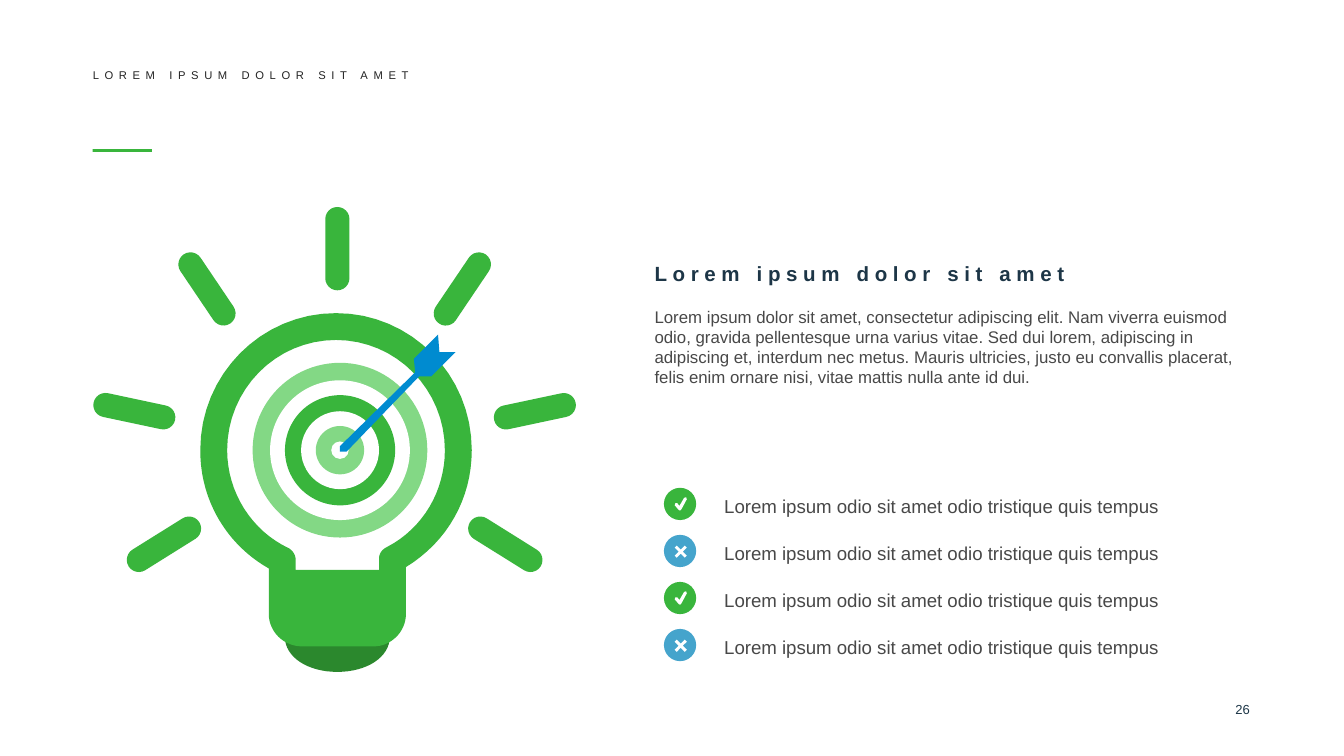
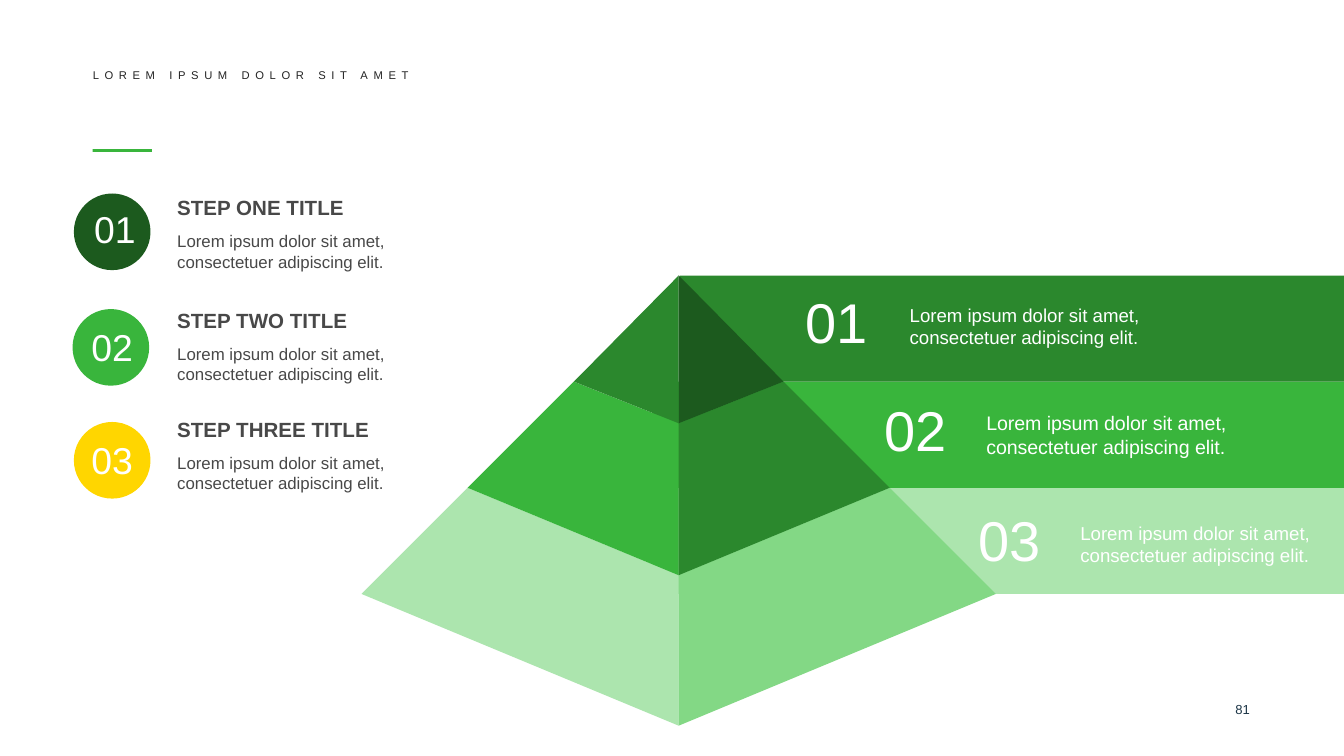
from dataclasses import dataclass

import pptx
import pptx.dml.color
import pptx.enum.shapes
import pptx.enum.text
import pptx.oxml
import pptx.util

Inches = pptx.util.Inches
Shape = pptx.enum.shapes.MSO_SHAPE
Align = pptx.enum.text.PP_ALIGN
Anchor = pptx.enum.text.MSO_ANCHOR


@dataclass(frozen=True)
class Style:
    size: float
    color: str
    bold: bool = False
    spacing: int = 0  # hundredths of a point


class Theme:
    font = "Arial"
    white = "FFFFFF"
    navy = "1D3647"
    gray = "484848"
    green = "39B53C"
    dark_green = "2B882D"
    deep_green = "1C5A1E"
    soft_green = "83D885"
    pale_green = "ACE5AE"
    blue = "008BD0"
    sky = "45A4CC"
    yellow = "FFD600"

    title = Style(6, "242424", spacing=300)
    page_number = Style(7, navy)
    heading = Style(11, navy, True, 300)
    body = Style(9, gray)
    list_item = Style(10, gray)
    step_title = Style(11, gray, True)
    step_number = Style(20, white)
    band_number = Style(30, white)
    band_text = Style(10, white)
    band_text_large = Style(10.5, white)


def place(shape, box):
    shape.left, shape.top, shape.width, shape.height = map(Inches, box)


def paint(shape, color):
    shape.shadow.inherit = False
    shape.fill.solid()
    shape.fill.fore_color.rgb = pptx.dml.color.RGBColor.from_string(color)
    shape.line.fill.background()


def draw_shape(slide, kind, box, color):
    shape = slide.shapes.add_shape(kind, *map(Inches, box))
    paint(shape, color)
    return shape


def draw_circle(slide, center_x, center_y, diameter, color):
    box = (center_x - diameter / 2, center_y - diameter / 2, diameter, diameter)
    return draw_shape(slide, Shape.OVAL, box, color)


def flatten(contour, steps=16):
    """Turn a contour of points and (control, control, end) curves into points."""
    points = [contour[0]]
    for part in contour[1:]:
        if len(part) == 2:
            points.append(part)
            continue
        curve = (points[-1], *part)
        for step in range(1, steps + 1):
            t = step / steps
            weights = ((1 - t) ** 3, 3 * t * (1 - t) ** 2, 3 * t * t * (1 - t), t ** 3)
            points.append(tuple(
                sum(weight * point[axis] for weight, point in zip(weights, curve))
                for axis in (0, 1)))
    return points


def draw_outline(slide, left, top, contours, color, unit=1.0):
    """Draw closed contours given in units (inches by default) from left, top."""
    builder = None
    for contour in contours:
        points = [(Inches(x * unit), Inches(y * unit)) for x, y in flatten(contour)]
        if builder is None:
            builder = slide.shapes.build_freeform(*points[0])
        else:
            builder.move_to(*points[0])
        builder.add_line_segments(points[1:], close=True)
    shape = builder.convert_to_shape(Inches(left), Inches(top))
    paint(shape, color)


def write(shape, text, style, align=Align.LEFT, anchor=Anchor.TOP,
          inset=True, wrap=True):
    frame = shape.text_frame
    frame.text = text
    frame.auto_size = pptx.enum.text.MSO_AUTO_SIZE.NONE
    frame.word_wrap = wrap
    frame.vertical_anchor = anchor
    frame.margin_left = frame.margin_right = Inches(0.1 if inset else 0)
    frame.margin_top = frame.margin_bottom = Inches(0.05 if inset else 0)
    paragraph = frame.paragraphs[0]
    paragraph.alignment = align
    paragraph.space_before = pptx.util.Pt(0)
    if shape.is_placeholder:
        remove_bullet(paragraph)
    for run in paragraph.runs:
        run.font.name = Theme.font
        run.font.size = pptx.util.Pt(style.size)
        run.font.bold = style.bold
        run.font.color.rgb = pptx.dml.color.RGBColor.from_string(style.color)
        if style.spacing:
            run.font._element.set("spc", str(style.spacing))


def draw_text(slide, box, text, style, **options):
    write(slide.shapes.add_textbox(*map(Inches, box)), text, style, **options)


def draw_number(slide, left, top, text, style):
    draw_text(slide, (left, top, 0.73, 0.56), text, style,
              align=Align.CENTER, anchor=Anchor.MIDDLE, inset=False)


def remove_bullet(paragraph):
    properties = paragraph._p.get_or_add_pPr()
    properties.set("marL", "0")
    properties.set("indent", "0")
    properties.append(pptx.oxml.parse_xml(
        '<a:buNone xmlns:a="http://schemas.openxmlformats.org/drawingml/2006/main"/>'))


def add_slide(presentation, layout_index, page_number):
    """Add a slide with the shared title, accent line and page number."""
    slide = presentation.slides.add_slide(presentation.slide_layouts[layout_index])
    draw_shape(slide, Shape.RECTANGLE, (0.69, 1.11, 0.44, 0.02), Theme.green)
    draw_text(slide, (8.87, 5.22, 0.43, 0.16), page_number, Theme.page_number,
              align=Align.RIGHT, inset=False)
    title = slide.shapes.title
    place(title, (0.69, 0.51, 7.17, 0.1))
    write(title, "LOREM IPSUM DOLOR SIT AMET", Theme.title,
          anchor=Anchor.MIDDLE, inset=False)
    return slide


BULB_OUTSIDE = [
    (1.01, 0), ((0.45, 0), (0, 0.46), (0, 1.02)),
    ((0, 1.21), (0.05, 1.4), (0.16, 1.57)),
    ((0.25, 1.71), (0.37, 1.82), (0.51, 1.9)),
    (0.51, 2.24), ((0.51, 2.37), (0.62, 2.48), (0.76, 2.48)),
    (1.29, 2.48), ((1.42, 2.48), (1.53, 2.37), (1.53, 2.24)),
    (1.53, 1.89), ((1.84, 1.7), (2.02, 1.38), (2.02, 1.02)),
    ((2.02, 0.46), (1.57, 0), (1.01, 0)),
]
BULB_INSIDE = [
    (1.39, 1.74), ((1.35, 1.76), (1.33, 1.79), (1.33, 1.83)),
    (1.33, 1.91), (0.71, 1.91), (0.71, 1.84),
    ((0.71, 1.8), (0.69, 1.77), (0.66, 1.75)),
    ((0.38, 1.62), (0.2, 1.33), (0.2, 1.02)),
    ((0.2, 0.57), (0.56, 0.2), (1.01, 0.2)),
    ((1.46, 0.2), (1.82, 0.57), (1.82, 1.02)),
    ((1.82, 1.32), (1.66, 1.6), (1.39, 1.74)),
]
BULB_CAP = [(0.78, 0), ((0.78, 0.15), (0.61, 0.26), (0.39, 0.26)),
            ((0.17, 0.26), (0, 0.15), (0, 0))]
ARROW = [(0.59, 0.31), (0.68, 0.31), (0.86, 0.13), (0.74, 0.13), (0.73, 0),
         (0.55, 0.18), (0.56, 0.28), (0, 0.83), (0, 0.87), (0.05, 0.87)]
ICON_UNIT = 0.005
CHECK = [(6, 19), (0, 12), (1, 9), (4, 9), (7, 13), (14, 1), (17, 0), (18, 3),
         (10, 18), (8, 20)]
CROSS = [(9, 6), (15, 0), (18, 3), (12, 9), (18, 15), (15, 18), (9, 12), (3, 18),
         (0, 15), (6, 9), (0, 3), (3, 0)]


def draw_rays(slide, left, top):
    axis = left + 1.8
    rays = [(0.02, 0.31, 90)]
    for offset, height, angle in ((0.95, 0.61, -56), (1.49, 1.52, -12), (1.27, 2.51, 32)):
        rays += [(offset, height, angle), (-offset, height, -angle)]
    for offset, height, angle in rays:
        box = (axis + offset - 0.31, top + height - 0.09, 0.62, 0.18)
        ray = draw_shape(slide, Shape.ROUNDED_RECTANGLE, box, Theme.green)
        ray.adjustments[0] = 0.5
        ray.rotation = angle


def draw_bulb(slide, left, top):
    draw_outline(slide, left + 1.43, top + 3.2, [BULB_CAP], Theme.dark_green)
    draw_rays(slide, left, top)
    draw_outline(slide, left + 0.8, top + 0.79, [BULB_OUTSIDE, BULB_INSIDE], Theme.green)
    rings = ((1.3, Theme.soft_green), (1.04, Theme.white), (0.82, Theme.green),
             (0.58, Theme.white), (0.36, Theme.soft_green), (0.13, Theme.white))
    for diameter, color in rings:
        draw_circle(slide, left + 1.84, top + 1.81, diameter, color)
    draw_outline(slide, left + 1.84, top + 0.95, [ARROW], Theme.blue)


def draw_checklist(slide, left, top, items):
    for index, (done, text) in enumerate(items):
        row = top + 0.35 * index
        draw_text(slide, (left + 0.35, row, 3.46, 0.27), text, Theme.list_item, wrap=False)
        draw_circle(slide, left + 0.12, row + 0.12, 0.24,
                    Theme.green if done else Theme.sky)
        draw_outline(slide, left + 0.08, row + (0.07 if done else 0.08),
                     [CHECK if done else CROSS], Theme.white, ICON_UNIT)


def build_idea_slide(presentation):
    slide = add_slide(presentation, 1, "26")
    draw_bulb(slide, 0.69, 1.54)
    draw_text(slide, (4.87, 1.94, 3.11, 0.19), "Lorem ipsum dolor sit amet",
              Theme.heading, inset=False, wrap=False)
    body = slide.placeholders[1]
    place(body, (4.87, 2.28, 4.44, 0.61))
    write(body, "Lorem ipsum dolor sit amet, consectetur adipiscing elit. Nam viverra "
          "euismod odio, gravida pellentesque urna varius vitae. Sed dui lorem, "
          "adipiscing in adipiscing et, interdum nec metus. Mauris ultricies, justo eu "
          "convallis placerat, felis enim ornare nisi, vitae mattis nulla ante id dui.",
          Theme.body, inset=False)
    item = "Lorem ipsum odio sit amet odio tristique quis tempus"
    draw_checklist(slide, 4.94, 3.63, [(done, item) for done in (True, False) * 2])


STEP_TEXT = "Lorem ipsum dolor sit amet, consectetuer adipiscing elit."


def draw_pyramid(slide, left, top, right):
    """Draw three tiers, each with two faces and a band running to the right."""
    apex = 2.36
    tier_height = 0.79
    half_widths = (0, 0.78, 1.57, 2.36)
    front_edges = (0, 1.1, 2.23, 3.35)
    tiers = (
        (2.37, Theme.dark_green, Theme.deep_green, Theme.dark_green),
        (2.16, Theme.green, Theme.dark_green, Theme.green),
        (2.16, Theme.pale_green, Theme.soft_green, Theme.pale_green),
    )
    for index in reversed(range(len(tiers))):
        band_left, left_color, right_color, band_color = tiers[index]
        upper = tier_height * index
        band = (left + band_left, top + upper, right - left - band_left, tier_height)
        draw_shape(slide, Shape.RECTANGLE, band, band_color)
        for side, color in ((-1, left_color), (1, right_color)):
            face = [(apex, front_edges[index]),
                    (apex + side * half_widths[index], upper),
                    (apex + side * half_widths[index + 1], upper + tier_height),
                    (apex, front_edges[index + 1])]
            draw_outline(slide, left, top, [face], color)

    labels = ((3.17, 0.06, 0.81, Theme.band_text),
              (3.76, 0.86, 0.79, Theme.band_text_large),
              (4.46, 1.68, 0.79, Theme.band_text))
    for number, (x, y, indent, style) in enumerate(labels, start=1):
        draw_number(slide, left + x, top + y, f"{number:02}", Theme.band_number)
        draw_text(slide, (left + x + indent, top + y + 0.1, 2.35, 0.45), STEP_TEXT, style)


def draw_step(slide, left, top, number, number_box, title, title_width, text_top, color):
    """Draw a numbered circle at left, top with a title and text beside it."""
    diameter = 0.57
    draw_circle(slide, left + diameter / 2, top + diameter / 2, diameter, color)
    draw_number(slide, *number_box, number, Theme.step_number)
    draw_text(slide, (1.22, text_top + 0.27, 2.42, 0.4), STEP_TEXT, Theme.body)
    draw_text(slide, (1.22, text_top, title_width, 0.29), title, Theme.step_title, wrap=False)


def build_pyramid_slide(presentation):
    slide = add_slide(presentation, 5, "81")
    draw_pyramid(slide, 2.69, 2.05, 10)
    draw_step(slide, 0.55, 1.44, "01", (0.49, 1.42), "STEP ONE TITLE", 1.46, 1.4,
              Theme.deep_green)
    draw_step(slide, 0.54, 2.3, "02", (0.47, 2.3), "STEP TWO TITLE", 1.48, 2.24,
              Theme.green)
    draw_step(slide, 0.55, 3.14, "03", (0.47, 3.14), "STEP THREE TITLE", 1.65, 3.05,
              Theme.yellow)


def main():
    presentation = pptx.Presentation()
    presentation.slide_width = Inches(10)
    presentation.slide_height = Inches(10) * 9 // 16
    build_idea_slide(presentation)
    build_pyramid_slide(presentation)
    presentation.save("out.pptx")


if __name__ == "__main__":
    main()
